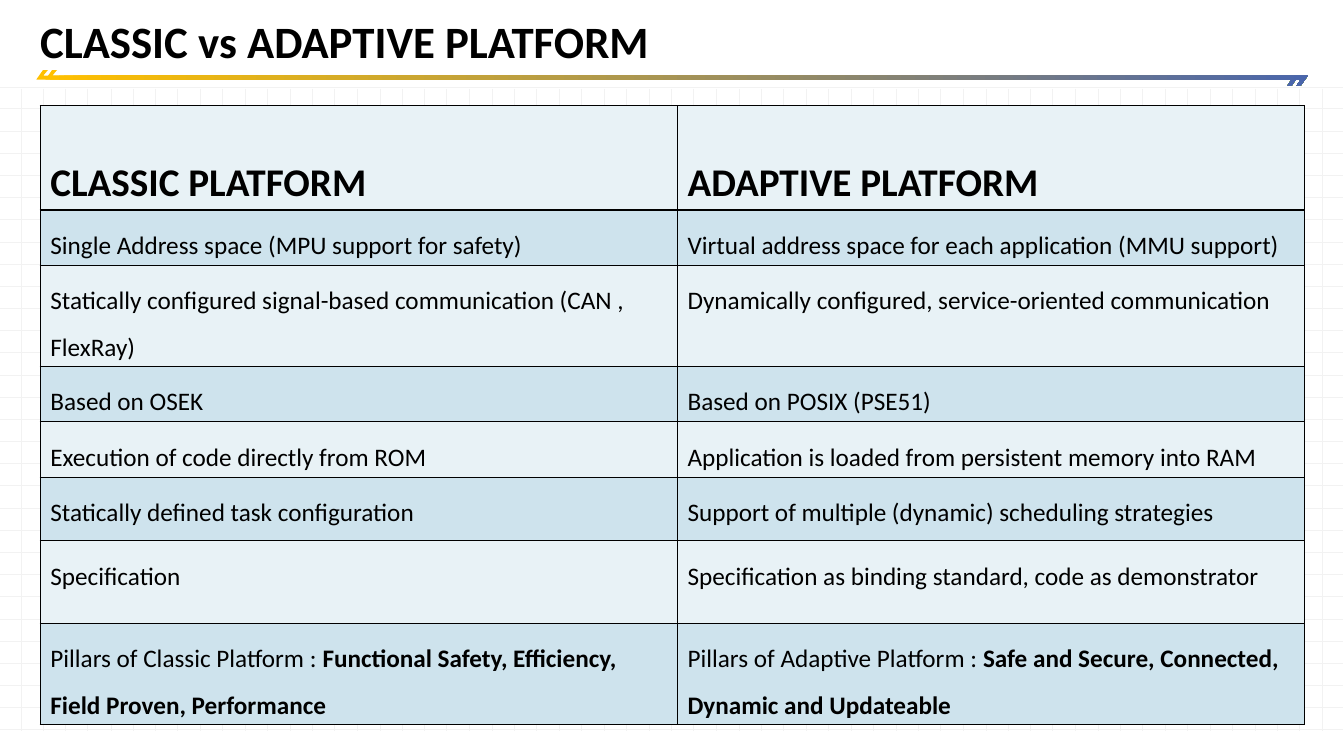
import pptx
import pptx.dml.color
import pptx.enum.shapes
import pptx.enum.text
import pptx.oxml
import pptx.oxml.ns
import pptx.util
from lxml import etree

PX = 9144  # 100 px to the inch
RGB = pptx.dml.color.RGBColor
BLACK = RGB(0x00, 0x00, 0x00)
GRID = RGB(0xF2, 0xF2, 0xF2)
GOLD = RGB(0xFF, 0xC0, 0x00)
BLUE = RGB(0x4A, 0x66, 0xAC)
PALE = RGB(0xE8, 0xF2, 0xF6)
TINT = RGB(0xCE, 0xE3, 0xED)
qn = pptx.oxml.ns.qn


def style(r, size, bold):
    r.font.name = "Calibri"
    r.font.size = pptx.util.Pt(size)
    r.font.bold = bold
    r.font.color.rgb = BLACK


def border(cell):
    tcPr = cell._tc.get_or_add_tcPr()
    for i, side in enumerate(("a:lnL", "a:lnR", "a:lnT", "a:lnB")):
        ln = etree.Element(qn(side), w=str(pptx.util.Pt(1)))
        fill = etree.SubElement(ln, qn("a:solidFill"))
        etree.SubElement(fill, qn("a:srgbClr"), val=str(BLACK))
        tcPr.insert(i, ln)


prs = pptx.Presentation()
prs.slide_width = 1333 * PX
prs.slide_height = 750 * PX
s = prs.slides.add_slide(prs.slide_layouts[6])

# Background grid: 30 rows and 59 columns of fine lines
rows = [(1332, y, 0, y) for y in (87 + i * 637 // 29 for i in range(30))]
columns = [(x, 88, x, 725) for x in (21 + i * 1291 // 58 for i in range(59))]
for ends in rows + columns:
    line = s.shapes.add_connector(
        pptx.enum.shapes.MSO_CONNECTOR.STRAIGHT, *(v * PX for v in ends))
    line.line.color.rgb = GRID
    line.line.width = pptx.util.Pt(0.5)
    etree.SubElement(line._element.spPr, qn("a:effectLst"))

# Title rule: two slanted bars, the second shifted to the right
BAR = [(43, 69), (48, 69), (43, 75), (1288, 75), (1281, 85),
       (1277, 85), (1281, 79), (36, 79)]
for shift in (0, 9):
    points = [(x + shift, y) for x, y in BAR]
    fb = s.shapes.build_freeform(*points[0], scale=PX)
    fb.add_line_segments(points[1:], close=True)
    sp = fb.convert_to_shape()
    sp.shadow.inherit = False
    sp.line.fill.background()
    sp.fill.gradient()
    sp.fill.gradient_angle = 0
    for stop, color in zip(sp.fill.gradient_stops, (GOLD, BLUE)):
        stop.color.rgb = color

# Title
title = s.shapes.add_textbox(30 * PX, -33 * PX, 1244 * PX, 106 * PX)
tf = title.text_frame
tf.word_wrap = True
tf.vertical_anchor = pptx.enum.text.MSO_ANCHOR.BOTTOM
p = tf.paragraphs[0]
p.text = "CLASSIC vs ADAPTIVE PLATFORM"
p.line_spacing = 0.9
style(p.runs[0], 32, True)

# Comparison table: row height, then the plain and bold text of each cell
ROWS = [
    (89, ("", "CLASSIC PLATFORM"), ("", "ADAPTIVE PLATFORM")),
    (49, ("Single Address space (MPU support for safety)", ""),
     ("Virtual address space for each application (MMU support)", "")),
    (93, ("Statically configured signal-based communication (CAN , FlexRay)", ""),
     ("Dynamically configured, service-oriented communication", "")),
    (54, ("Based on OSEK", ""), ("Based on POSIX (PSE51)", "")),
    (49, ("Execution of code directly from ROM", ""),
     ("Application is loaded from persistent memory into RAM", "")),
    (63, ("Statically defined task configuration", ""),
     ("Support of multiple (dynamic) scheduling strategies", "")),
    (82, ("Specification", ""),
     ("Specification as binding standard, code as demonstrator", "")),
    (82, ("Pillars of Classic Platform : ",
          "Functional Safety, Efficiency, Field Proven, Performance"),
     ("Pillars of Adaptive Platform : ",
      "Safe and Secure, Connected, Dynamic and Updateable")),
]
table = s.shapes.add_table(len(ROWS), 2, 40 * PX, 105 * PX,
                           1254 * PX, 579 * PX).table
table.first_row = False
table.horz_banding = False
for column, width in zip(table.columns, (632, 622)):
    column.width = width * PX
for i, (height, *texts) in enumerate(ROWS):
    table.rows[i].height = height * PX
    for j, parts in enumerate(texts):
        cell = table.cell(i, j)
        cell.fill.solid()
        cell.fill.fore_color.rgb = TINT if i % 2 else PALE
        border(cell)
        p = cell.text_frame.paragraphs[0]
        p.line_spacing = 1.5 if i else 2.0
        for text, bold in zip(parts, (False, True)):
            if text:
                r = p.add_run()
                r.text = text
                style(r, 18 if i else 28, bold)

prs.save("out.pptx")
